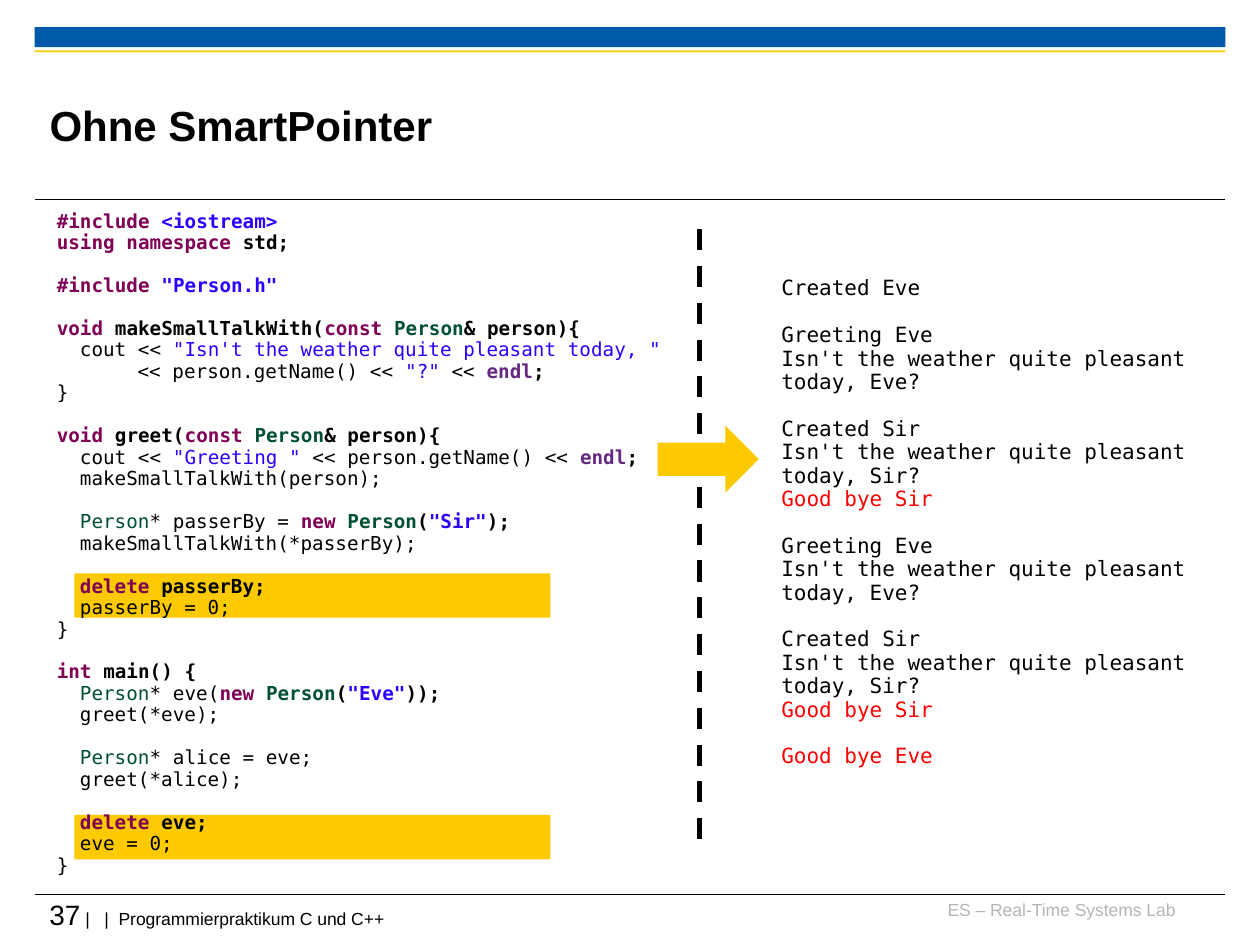
"""Build the slide 'Ohne SmartPointer': C++ code on the left, its output on the right."""
from pptx import Presentation
from pptx.dml.color import RGBColor
from pptx.enum import dml, shapes, text
from pptx.oxml import parse_xml
from pptx.oxml.ns import nsdecls
from pptx.util import Pt

COLORS = {
    "black": "000000", "blue": "005AA9", "yellow": "FDCA00", "grey": "B5B5B5",
    "keyword": "7F0055", "string": "2A00FF", "type": "005032", "endl": "642880",
    "red": "FF0000",
}
MONO = "DejaVu Sans Mono"
STYLES = {
    "n": ("black", False), "b": ("black", True), "k": ("keyword", True),
    "s": ("string", False), "S": ("string", True), "t": ("type", False),
    "T": ("type", True), "e": ("endl", True), "r": ("red", False),
}

prs = Presentation()
prs.slide_width, prs.slide_height = Pt(720), Pt(540)
s = prs.slides.add_slide(prs.slide_layouts[6])


def add_text(box, paragraphs, size, font, inset=(0, 0), spacing=None, gap=0):
    """Add a text box; each paragraph is (indent in characters, gap before, runs)."""
    tf = s.shapes.add_textbox(*map(Pt, box)).text_frame
    tf.word_wrap = True
    tf.margin_left = tf.margin_right = Pt(inset[0])
    tf.margin_top = tf.margin_bottom = Pt(inset[1])
    for i, (indent, blank, runs) in enumerate(paragraphs):
        p = tf.paragraphs[0] if i == 0 else tf.add_paragraph()
        if spacing:
            p.line_spacing = spacing
        if blank:
            p.space_before = Pt(gap)
        if indent:
            p._p.get_or_add_pPr().set("marL", str(Pt(indent * size * 0.6)))
        for style, content in runs:
            r = p.add_run()
            r.text = content
            color, r.font.bold = STYLES[style]
            r.font.size, r.font.name = Pt(size), font
            r.font.color.rgb = RGBColor.from_string(COLORS[color])
    return tf


def add_line(x1, y1, x2, y2, width):
    """Add a black straight line without a shadow."""
    line = s.shapes.add_connector(shapes.MSO_CONNECTOR.STRAIGHT, Pt(x1), Pt(y1), Pt(x2), Pt(y2))
    line.line.width = Pt(width)
    line.line.color.rgb = RGBColor.from_string(COLORS["black"])
    line._element.spPr.append(parse_xml(f"<a:effectLst {nsdecls('a')}/>"))
    return line


RECT, ARROW = shapes.MSO_SHAPE.RECTANGLE, shapes.MSO_SHAPE.RIGHT_ARROW
bars = [
    (RECT, "blue", 19.8, 15.6, 680.4, 11.4),
    (RECT, "yellow", 19.8, 28.8, 680.4, 1),
    (RECT, "yellow", 42.5, 327.6, 272, 25.4),
    (RECT, "yellow", 42.5, 465.7, 272, 25.4),
    (ARROW, "yellow", 375.8, 243.4, 57.8, 38),
]
for y in (113.9, 511):
    add_line(19.8, y, 700, y, 0.6)
divider = add_line(399.6, 131, 399.6, 485.3, 3)
divider.line.dash_style = dml.MSO_LINE.DASH
for kind, color, *box in bars:
    sp = s.shapes.add_shape(kind, *map(Pt, box))
    sp.shadow.inherit = False
    sp.fill.solid()
    sp.fill.fore_color.rgb = RGBColor.from_string(COLORS[color])
    sp.line.fill.background()

tf = add_text((28.3, 38.2, 541.4, 66.2), [(0, False, [("b", "Ohne SmartPointer")])], 24, "Arial")
tf.vertical_anchor = text.MSO_ANCHOR.MIDDLE

tf = add_text((529.9, 513.8, 141.8, 18), [(0, True, [("n", "ES – Real-Time Systems Lab")])],
              10, "Arial", gap=6.2)
p = tf.paragraphs[0]
p.alignment = text.PP_ALIGN.RIGHT
p.runs[0].font.color.rgb = RGBColor.from_string(COLORS["grey"])

footer = [("n", "37"), ("n", " |   |  Programmierpraktikum C und C++")]
tf = add_text((28.3, 513, 671.8, 23.8), [(0, False, footer)], 10, "Arial")
tf.paragraphs[0].runs[0].font.size = Pt(16)

parameter = [("k", "const "), ("T", "Person"), ("b", "& person){")]
endl = [("n", " << "), ("e", "endl"), ("b", ";")]
code = [
    (0, False, [("k", "#include "), ("S", "<iostream>")]),
    (0, False, [("k", "using namespace"), ("b", " std;")]),
    (0, True, [("k", "#include "), ("S", '"Person.h"')]),
    (0, True, [("k", "void"), ("b", " makeSmallTalkWith("), *parameter]),
    (2, False, [("n", "cout << "), ("s", '"Isn\'t the weather quite pleasant today, "')]),
    (7, False, [("n", "<< person.getName() << "), ("s", '"?"'), *endl]),
    (0, False, [("n", "}")]),
    (0, True, [("k", "void"), ("b", " greet("), *parameter]),
    (2, False, [("n", "cout << "), ("s", '"Greeting "'), ("n", " << person.getName()"), *endl]),
    (2, False, [("n", "makeSmallTalkWith(person);")]),
    (2, True, [("t", "Person"), ("n", "* passerBy = "), ("k", "new "), ("T", "Person"),
               ("b", "("), ("S", '"Sir"'), ("b", ");")]),
    (2, False, [("n", "makeSmallTalkWith(*passerBy);")]),
    (2, True, [("k", "delete"), ("b", " passerBy;")]),
    (2, False, [("n", "passerBy = 0;")]),
    (0, False, [("n", "}")]),
    (0, True, [("k", "int"), ("b", " main() {")]),
    (2, False, [("t", "Person"), ("n", "* eve("), ("k", "new "), ("T", "Person"),
                ("b", "("), ("S", '"Eve"'), ("b", "));")]),
    (2, False, [("n", "greet(*eve);")]),
    (2, True, [("t", "Person"), ("n", "* alice = eve;")]),
    (2, False, [("n", "greet(*alice);")]),
    (2, True, [("k", "delete"), ("b", " eve;")]),
    (2, False, [("n", "eve = 0;")]),
    (0, False, [("n", "}")]),
]
add_text((25.4, 117, 487.4, 388.1), code, 11, MONO, (7.2, 3.6), 0.93, 12.25)

small_talk = "Isn't the weather quite pleasant today, "
visit = [
    (0, True, [("n", "Greeting Eve")]),
    (0, False, [("n", small_talk + "Eve?")]),
    (0, True, [("n", "Created Sir")]),
    (0, False, [("n", small_talk + "Sir?")]),
    (0, False, [("r", "Good bye Sir")]),
]
output = [(0, False, [("n", "Created Eve")]), *visit, *visit, (0, True, [("r", "Good bye Eve")])]
add_text((439.4, 154.8, 277.9, 288.7), output, 12, MONO, (7.2, 3.6), 0.93, 13.35)

prs.save("out.pptx")
